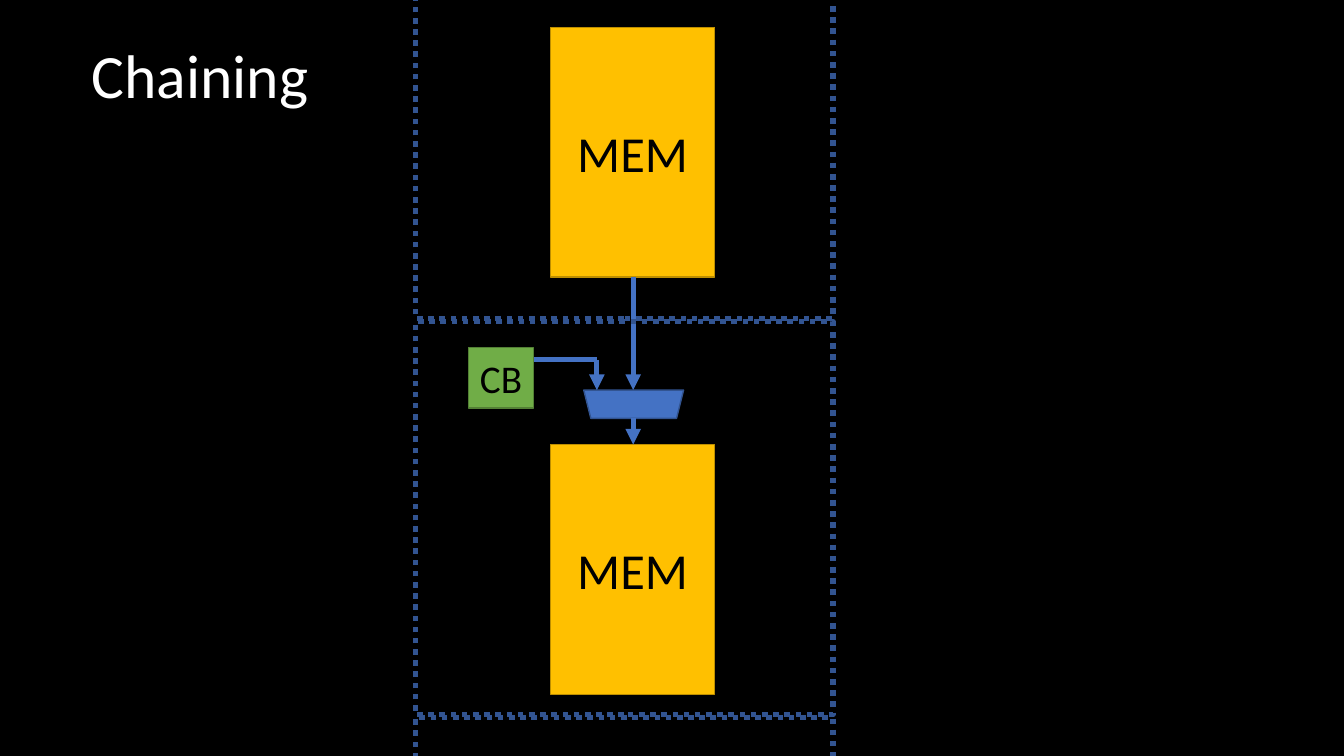
from dataclasses import dataclass

from lxml.etree import SubElement
from pptx import Presentation
from pptx.dml.color import RGBColor
from pptx.enum.dml import MSO_LINE
from pptx.enum.shapes import MSO_CONNECTOR, MSO_SHAPE
from pptx.enum.text import MSO_ANCHOR, PP_ALIGN
from pptx.oxml.ns import qn
from pptx.util import Inches, Pt


@dataclass(frozen=True)
class Theme:
    font: str = "Calibri"
    background: str = "000000"
    title_color: str = "FFFFFF"
    label_color: str = "000000"
    memory_fill: str = "FFC000"
    memory_line: str = "BD8E00"
    box_fill: str = "70AD47"
    box_line: str = "538035"
    wire: str = "4472C4"
    outline: str = "325491"
    title_size: float = 44
    memory_size: float = 36
    box_size: float = 28
    thin: float = 1
    wire_width: float = 3.75
    tile_width: float = 4


def write_text(shape, text, *, font, size, color, align, spacing=1.0):
    frame = shape.text_frame
    frame.word_wrap = True
    frame.vertical_anchor = MSO_ANCHOR.MIDDLE
    paragraph = frame.paragraphs[0]
    paragraph.alignment = align
    paragraph.line_spacing = spacing
    run = paragraph.add_run()
    run.text = text
    run.font.name = font
    run.font.size = Pt(size)
    run.font.color.rgb = RGBColor.from_string(color)


class SlideBuilder:
    def __init__(self, presentation, theme):
        self.theme = theme
        self.slide = presentation.slides.add_slide(presentation.slide_layouts[5])
        fill = self.slide.background.fill
        fill.solid()
        fill.fore_color.rgb = RGBColor.from_string(theme.background)

    def title(self, text, left, top, width, height):
        shape = self.slide.shapes.title
        shape.left, shape.top = Inches(left), Inches(top)
        shape.width, shape.height = Inches(width), Inches(height)
        write_text(shape, text, font=self.theme.font, size=self.theme.title_size,
                   color=self.theme.title_color, align=PP_ALIGN.LEFT, spacing=0.9)

    def shape(self, kind, left, top, width, height, *, line, fill=None):
        shape = self.slide.shapes.add_shape(
            kind, Inches(left), Inches(top), Inches(width), Inches(height))
        shape.shadow.inherit = False
        if fill:
            shape.fill.solid()
            shape.fill.fore_color.rgb = RGBColor.from_string(fill)
        else:
            shape.fill.background()
        shape.line.color.rgb = RGBColor.from_string(line)
        shape.line.width = Pt(self.theme.thin)
        return shape

    def block(self, text, left, top, width, height, *, fill, line, size):
        shape = self.shape(MSO_SHAPE.RECTANGLE, left, top, width, height,
                           fill=fill, line=line)
        write_text(shape, text, font=self.theme.font, size=size,
                   color=self.theme.label_color, align=PP_ALIGN.CENTER)

    def multiplexer(self, left, top, width, height):
        shape = self.shape(MSO_SHAPE.TRAPEZOID, left, top, width, height,
                           fill=self.theme.wire, line=self.theme.outline)
        shape.rotation = 180

    def tile(self, left, top, width, height):
        shape = self.shape(MSO_SHAPE.RECTANGLE, left, top, width, height,
                           line=self.theme.outline)
        shape.line.width = Pt(self.theme.tile_width)
        shape.line.dash_style = MSO_LINE.ROUND_DOT

    def wire(self, start, end, *, arrow=True):
        connector = self.slide.shapes.add_connector(
            MSO_CONNECTOR.STRAIGHT, *map(Inches, start + end))
        connector.line.color.rgb = RGBColor.from_string(self.theme.wire)
        connector.line.width = Pt(self.theme.wire_width)
        if arrow:
            SubElement(connector.line._get_or_add_ln(), qn("a:tailEnd"), type="triangle")
        SubElement(connector._element.spPr, qn("a:effectLst"))


def build_chaining(builder):
    theme = builder.theme
    center = 6.28
    memory_width, memory_height = 1.63, 2.48
    upper_memory, lower_memory = 0.27, 4.41
    multiplexer_top, multiplexer_height = 3.87, 0.28
    side_input, side_height = 5.92, 3.57

    builder.title("Chaining", 0.81, 0.05, 11.5, 1.45)
    for top in (lower_memory, upper_memory):
        builder.block("MEM", 5.46, top, memory_width, memory_height,
                      fill=theme.memory_fill, line=theme.memory_line,
                      size=theme.memory_size)
    builder.wire((center, upper_memory + memory_height), (center, multiplexer_top))
    builder.multiplexer(5.79, multiplexer_top, 0.99, multiplexer_height)
    builder.wire((center, multiplexer_top + multiplexer_height), (center, lower_memory))
    builder.wire((5.12, side_height), (side_input, side_height), arrow=False)
    builder.wire((side_input, side_height), (side_input, multiplexer_top))
    builder.block("CB", 4.65, 3.45, 0.64, 0.6, fill=theme.box_fill,
                  line=theme.box_line, size=theme.box_size)

    tile_top, tile_gap = -0.17, 0.03
    for tile_height in (3.33, 3.9, 3.33):
        builder.tile(4.12, tile_top, 4.14, tile_height)
        tile_top += tile_height + tile_gap


presentation = Presentation()
presentation.slide_width = Inches(13.33)
presentation.slide_height = Inches(7.5)
build_chaining(SlideBuilder(presentation, Theme()))
presentation.save("out.pptx")
